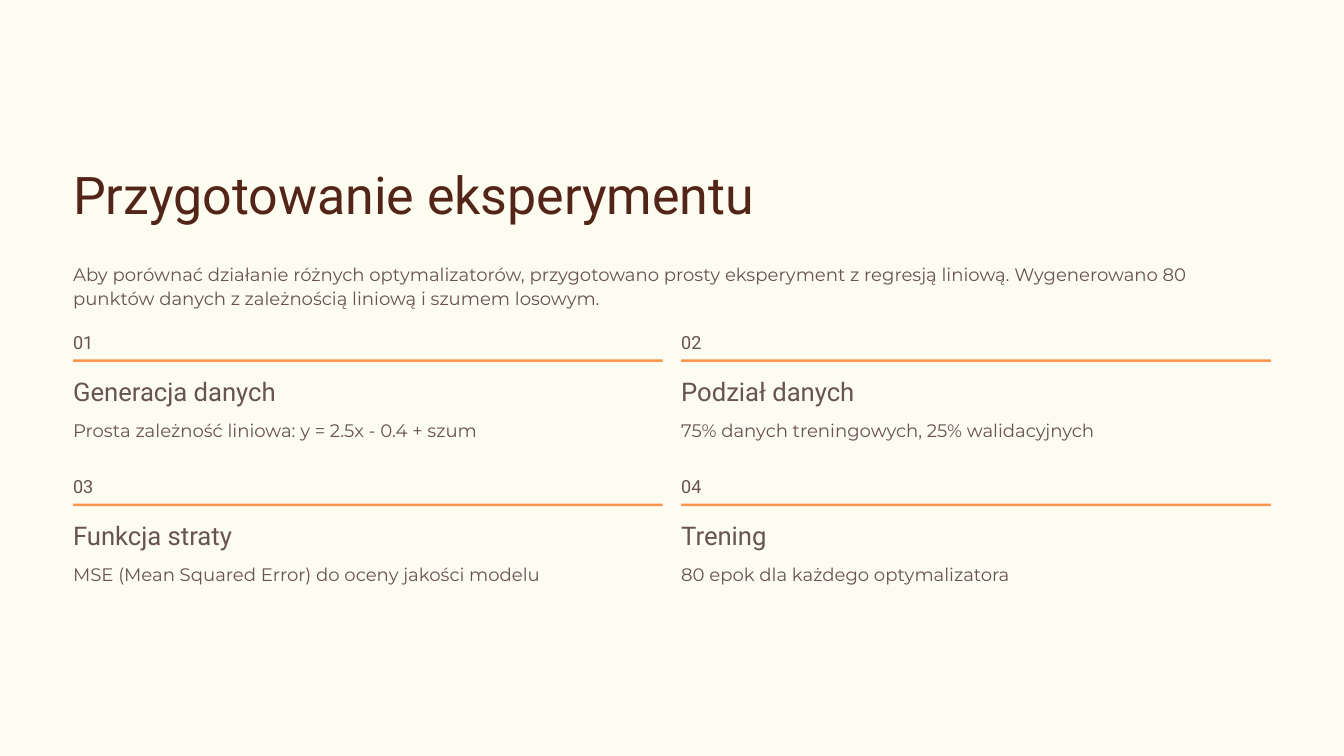
"""Build the slide that lists the four steps of preparing the experiment."""
from lxml.etree import SubElement
from pptx import Presentation
from pptx.dml.color import RGBColor
from pptx.enum.shapes import MSO_SHAPE
from pptx.enum.text import MSO_ANCHOR, MSO_AUTO_SIZE, PP_ALIGN
from pptx.oxml.ns import qn
from pptx.util import Inches, Pt

TITLE = "Przygotowanie eksperymentu"
INTRO = (
    "Aby porównać działanie różnych optymalizatorów, przygotowano prosty "
    "eksperyment z regresją liniową. Wygenerowano 80 punktów danych "
    "z zależnością liniową i szumem losowym."
)
STEPS = [
    ("01", "Generacja danych", "Prosta zależność liniowa: y = 2.5x - 0.4 + szum"),
    ("02", "Podział danych", "75% danych treningowych, 25% walidacyjnych"),
    ("03", "Funkcja straty", "MSE (Mean Squared Error) do oceny jakości modelu"),
    ("04", "Trening", "80 epok dla każdego optymalizatora"),
]
COLORS = {"background": "FDFCF0", "title": "532418", "text": "67534F", "rule": "FF954F"}
STYLES = {
    "title": ("Roboto", 44.5, 58, "title"),
    "number": ("Roboto", 15.5, 20, "text"),
    "heading": ("Roboto", 22, 29, "text"),
    "body": ("Montserrat", 15.5, 20, "text"),
}

MARGIN, CONTENT_WIDTH = 0.87, 14.26
COLUMNS, COLUMN_WIDTH, COLUMN_PITCH = 2, 7.02, 7.24
GRID_TOP, ROW_PITCH = 3.92, 1.715
RULE_OFFSET, HEADING_OFFSET, DETAIL_OFFSET = 0.36, 0.52, 1.05


def color(name):
    return RGBColor.from_string(COLORS[name])


def place(shape, left, top, width, height):
    shape.left, shape.top = Inches(left), Inches(top)
    shape.width, shape.height = Inches(width), Inches(height)


def write(shape, text, style, wrap=False):
    font_name, size, line_height, color_name = STYLES[style]
    frame = shape.text_frame
    frame.text = text
    frame.word_wrap = wrap
    frame.auto_size = MSO_AUTO_SIZE.NONE
    frame.vertical_anchor = MSO_ANCHOR.TOP
    frame.margin_left = frame.margin_right = 0
    frame.margin_top = frame.margin_bottom = 0
    paragraph = frame.paragraphs[0]
    paragraph.alignment = PP_ALIGN.LEFT
    paragraph.line_spacing = Pt(line_height)
    paragraph.space_before = Pt(0)
    font = paragraph.runs[0].font
    font.name, font.size = font_name, Pt(size)
    font.color.rgb = color(color_name)


def add_text(slide, text, style, left, top, width, height):
    box = slide.shapes.add_textbox(Inches(left), Inches(top), Inches(width), Inches(height))
    write(box, text, style)


def add_rule(slide, left, top):
    rule = slide.shapes.add_shape(
        MSO_SHAPE.RECTANGLE, Inches(left), Inches(top), Inches(COLUMN_WIDTH), Inches(0.03)
    )
    rule.shadow.inherit = False
    rule.fill.solid()
    rule.fill.fore_color.rgb = color("rule")
    rule.line.fill.background()


def add_step(slide, index, step):
    number, heading, detail = step
    row, column = divmod(index, COLUMNS)
    left = MARGIN + column * COLUMN_PITCH
    top = GRID_TOP + row * ROW_PITCH
    add_text(slide, number, "number", left, top, 0.22, 0.28)
    add_rule(slide, left, top + RULE_OFFSET)
    add_text(slide, heading, "heading", left, top + HEADING_OFFSET, 3.12, 0.41)
    add_text(slide, detail, "body", left, top + DETAIL_OFFSET, COLUMN_WIDTH, 0.28)


def main():
    deck = Presentation()
    deck.slide_width, deck.slide_height = Inches(16), Inches(9)
    slide = deck.slides.add_slide(deck.slide_layouts[1])
    slide.background.fill.solid()
    slide.background.fill.fore_color.rgb = color("background")

    title, intro = slide.placeholders
    place(title, MARGIN, 1.87, 8.31, 0.81)
    write(title, TITLE, "title")
    place(intro, MARGIN, 3.12, CONTENT_WIDTH, 0.56)
    write(intro, INTRO, "body", wrap=True)
    intro_format = intro.text_frame.paragraphs[0]._p.get_or_add_pPr()
    intro_format.set("marL", "0")
    intro_format.set("indent", "0")
    SubElement(intro_format, qn("a:buNone"))

    for index, step in enumerate(STEPS):
        add_step(slide, index, step)
    deck.save("out.pptx")


if __name__ == "__main__":
    main()
